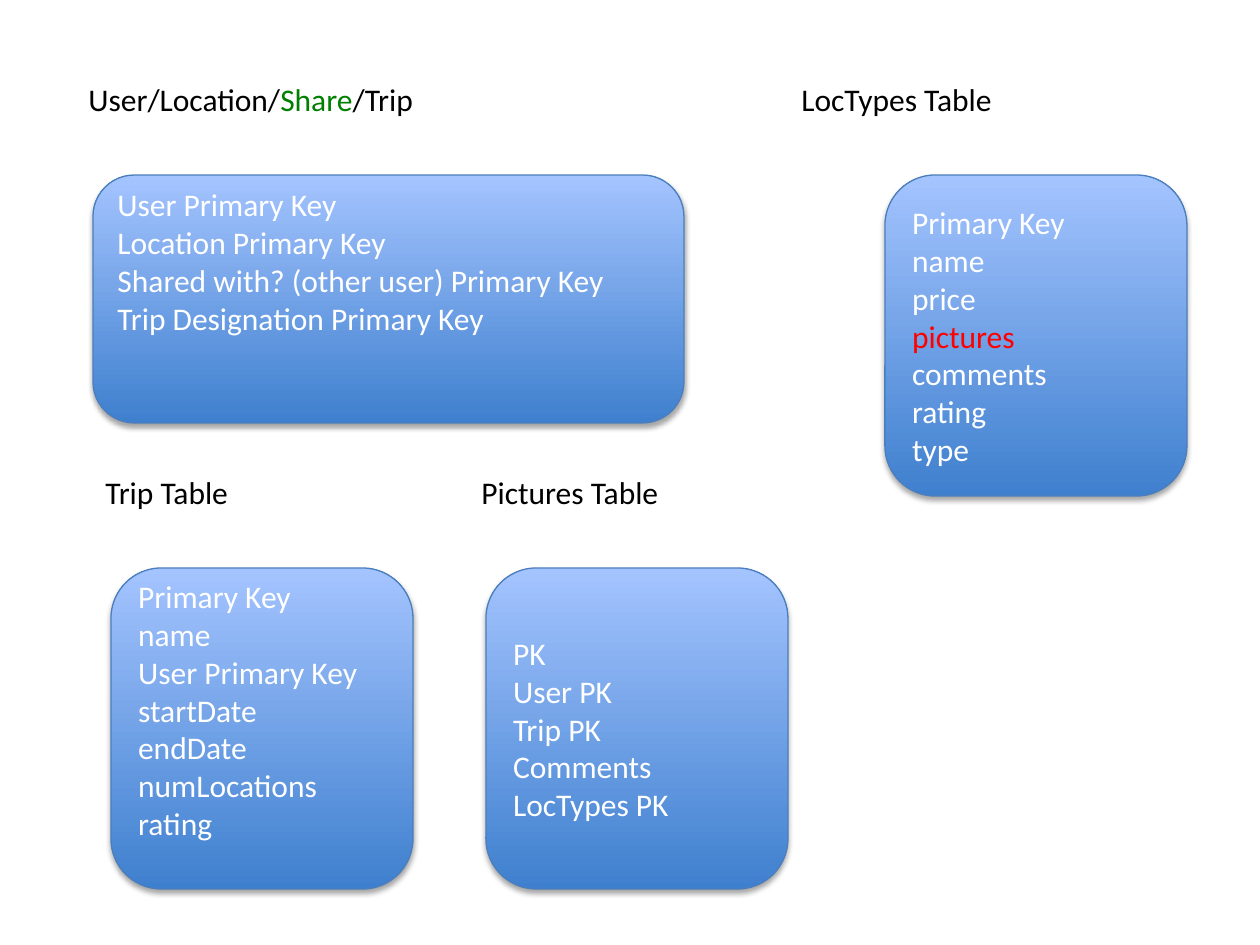
"""Builds a slide of four database tables, each a caption over a rounded box of fields."""
from dataclasses import dataclass

from lxml.etree import SubElement
from pptx import Presentation
from pptx.dml.color import RGBColor
from pptx.enum.shapes import MSO_SHAPE
from pptx.enum.text import MSO_ANCHOR, MSO_AUTO_SIZE, PP_ALIGN
from pptx.oxml.ns import qn
from pptx.util import Pt

TABLES = [
    {"caption": ["User/Location/", "Share", "/Trip"], "caption_left": 76, "left": 93, "row": 0,
     "size": (591, 248), "spare_lines": 2,
     "fields": ["User Primary Key", "Location Primary Key",
                "Shared with? (other user) Primary Key", "Trip Designation Primary Key"]},
    {"caption": ["Trip Table"], "caption_left": 93, "left": 111, "row": 1,
     "size": (302, 321), "spare_lines": 1,
     "fields": ["Primary Key", "name", "User Primary Key", "startDate", "endDate",
                "numLocations", "rating"]},
    {"caption": ["LocTypes Table"], "caption_left": 789, "left": 885, "row": 0,
     "size": (302, 321), "spare_lines": 0,
     "fields": ["Primary Key", "name", "price", "pictures", "comments", "rating", "type"]},
    {"caption": ["Pictures Table"], "caption_left": 469, "left": 486, "row": 1,
     "size": (302, 321), "spare_lines": 0,
     "fields": ["PK", "User PK", "Trip PK", "Comments", "LocTypes PK"]},
]
SLIDE_SIZE = (1260, 945)
CAPTION_SIZE = (375, 50)
ROW_TOPS = (74, 467)
BOX_DROP = 101
LINE_HEIGHT = 38
INSET = 6


@dataclass(frozen=True)
class Theme:
    """Colours and type of the slide."""
    font: str = "Calibri"
    size: int = 18
    caption: str = "000000"
    field: str = "FFFFFF"
    bottom: str = "3F80CE"
    top: str = "A4C4FF"
    border: str = "4B7EBC"
    shadow: str = "000000"


THEME = Theme()
ACCENTS = {"Share": "008000", "pictures": "FF0000"}


def px(length):
    """Turns px into EMU."""
    return round(length * 914400 / 126)


def add_span(para, text, color):
    """Adds one run in the slide's type."""
    span = para.add_run()
    span.text = text
    span.font.name = THEME.font
    span.font.size = Pt(THEME.size)
    span.font.color.rgb = RGBColor.from_string(ACCENTS.get(text, color))


def add_shadow(box):
    """Gives a box a soft shadow below."""
    box.shadow.inherit = False
    effects = box.fill._xPr.find(qn("a:effectLst"))
    shadow = SubElement(effects, qn("a:outerShdw"), blurRad=str(Pt(3.1)), dist=str(Pt(1.8)),
                        dir="5400000", rotWithShape="0")
    color = SubElement(shadow, qn("a:srgbClr"), val=THEME.shadow)
    SubElement(color, qn("a:alpha"), val="35000")


def add_caption(slide, table):
    """Writes the name of a table."""
    place = (table["caption_left"], ROW_TOPS[table["row"]], *CAPTION_SIZE)
    frame = slide.shapes.add_textbox(*map(px, place)).text_frame
    frame.word_wrap = True
    frame.auto_size = MSO_AUTO_SIZE.SHAPE_TO_FIT_TEXT
    for text in table["caption"]:
        add_span(frame.paragraphs[0], text, THEME.caption)


def add_field_box(slide, table):
    """Draws the rounded box with the fields of a table."""
    place = (table["left"], ROW_TOPS[table["row"]] + BOX_DROP, *table["size"])
    box = slide.shapes.add_shape(MSO_SHAPE.ROUNDED_RECTANGLE, *map(px, place))
    box.fill.gradient()
    box.fill.gradient_angle = 90
    for stop, color, position in zip(box.fill.gradient_stops, (THEME.bottom, THEME.top), (0, 1)):
        stop.color.rgb = RGBColor.from_string(color)
        stop.position = position
    box.line.color.rgb = RGBColor.from_string(THEME.border)
    box.line.width = Pt(0.75)
    add_shadow(box)
    frame = box.text_frame
    frame.word_wrap = True
    frame.vertical_anchor = MSO_ANCHOR.MIDDLE
    frame.margin_bottom = px(INSET + table["spare_lines"] * LINE_HEIGHT)
    for index, field in enumerate(table["fields"]):
        para = frame.add_paragraph() if index else frame.paragraphs[0]
        para.alignment = PP_ALIGN.LEFT
        add_span(para, field, THEME.field)


def main():
    """Builds and saves the deck."""
    deck = Presentation()
    deck.slide_width, deck.slide_height = map(px, SLIDE_SIZE)
    slide = deck.slides.add_slide(deck.slide_layouts[6])
    for table in TABLES:
        add_caption(slide, table)
        add_field_box(slide, table)
    deck.save("out.pptx")


if __name__ == "__main__":
    main()
